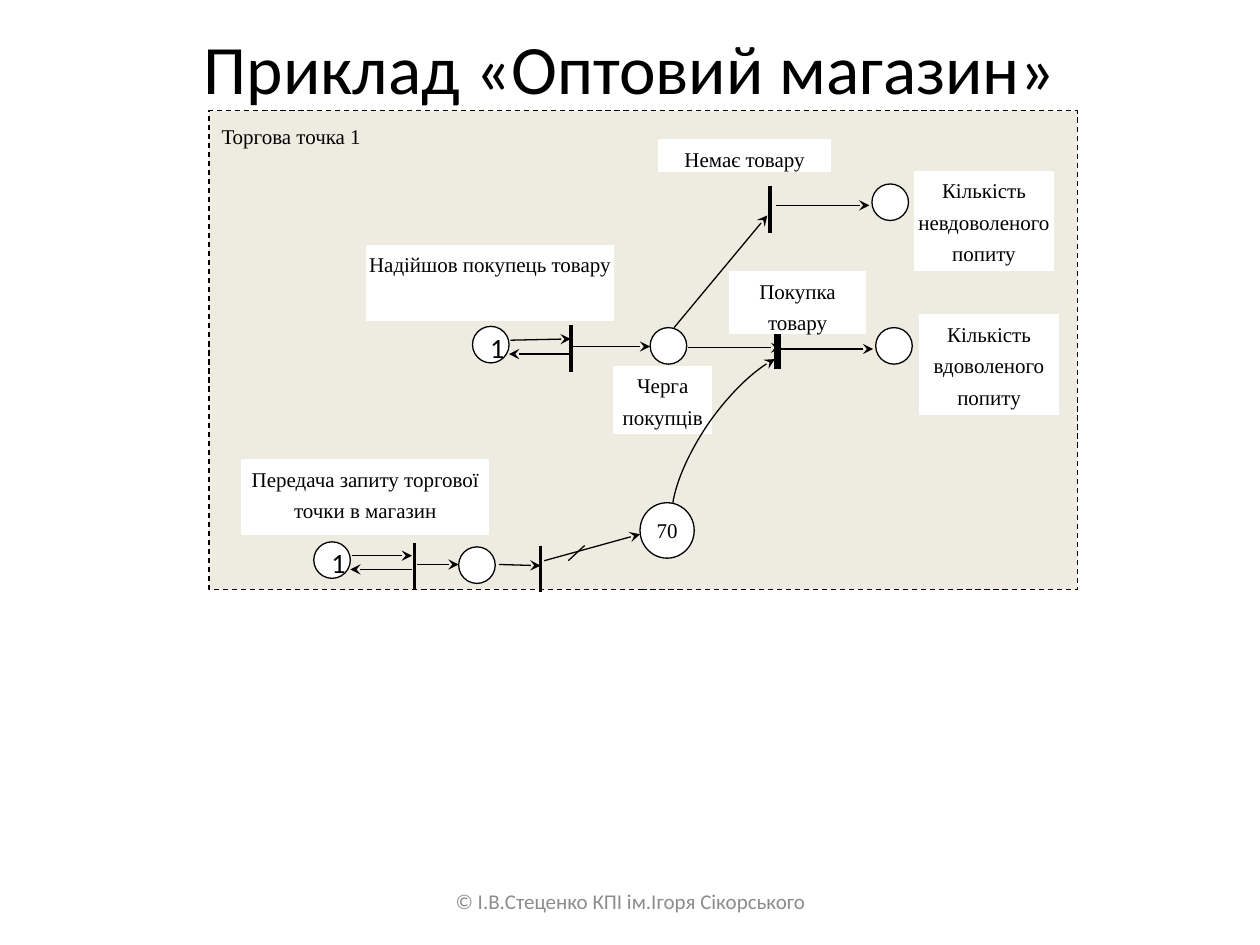
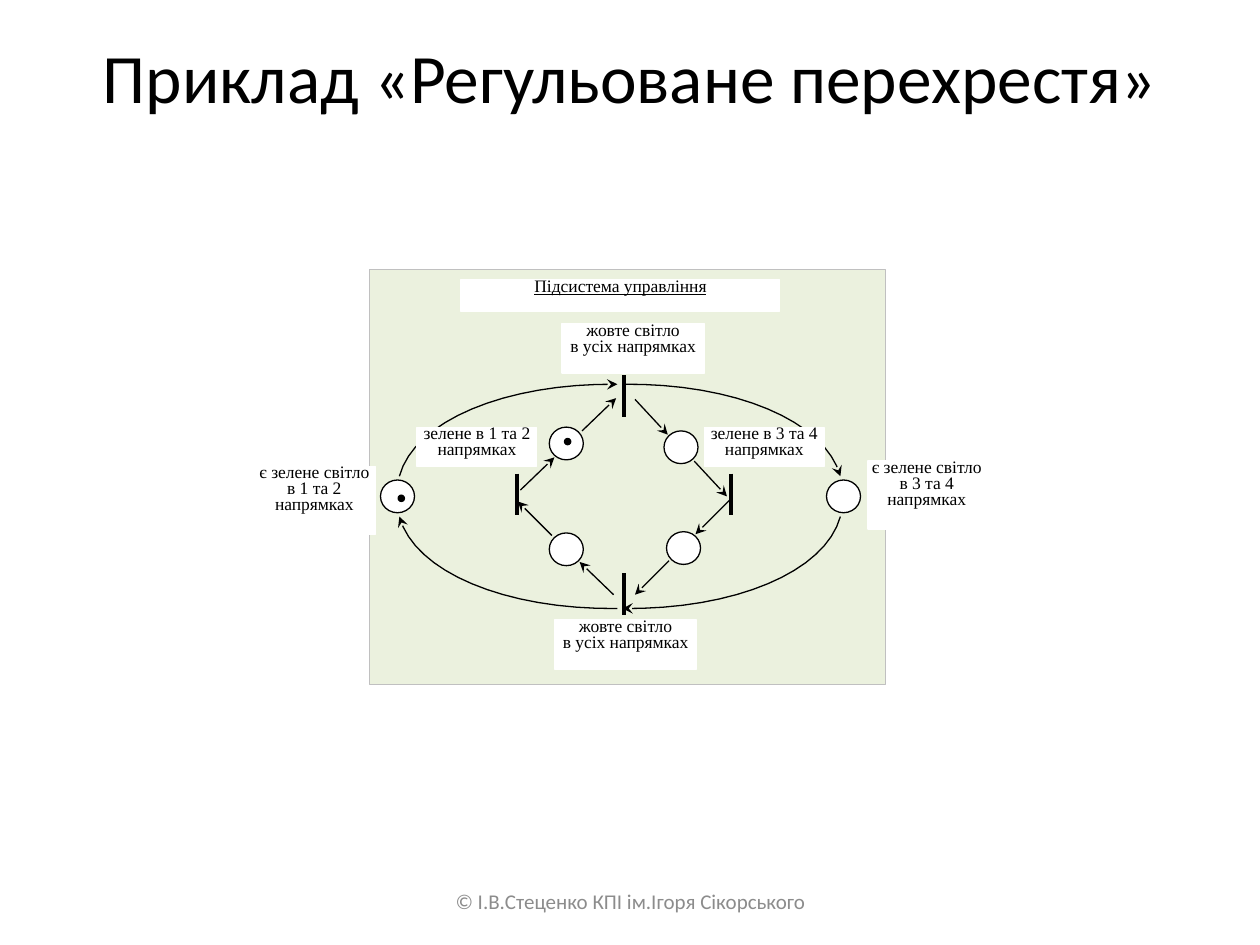
import dataclasses

import lxml.etree
import pptx
import pptx.dml.color
import pptx.enum.dml
import pptx.enum.shapes
import pptx.enum.text
import pptx.oxml.ns
import pptx.util

Inches = pptx.util.Inches
Pt = pptx.util.Pt
Shape = pptx.enum.shapes.MSO_SHAPE
Align = pptx.enum.text.PP_ALIGN
Anchor = pptx.enum.text.MSO_ANCHOR


@dataclasses.dataclass(frozen=True)
class Theme:
    ink: str = "000000"
    paper: str = "FFFFFF"
    footer: str = "8C8C8C"
    shop_panel: str = "EEECE1"
    control_panel: str = "EBF1DE"
    control_border: str = "C0C0C0"
    sans: str = "Calibri"
    serif: str = "Times New Roman"
    title_size: float = 39.6
    token_size: float = 16
    label_size: float = 12
    small_size: float = 10
    thin: float = 0.75
    bar: float = 2.25
    thick_bar: float = 4


THEME = Theme()
FOOTER = "© І.В.Стеценко КПІ ім.Ігоря Сікорського"
TIGHT = 0.75
LOOSE = Pt(18)


def rgb(value):
    return pptx.dml.color.RGBColor.from_string(value)


# Text
def write(shape, lines, size, font=THEME.serif, color=THEME.ink, align=Align.CENTER,
          anchor=Anchor.TOP, spacing=None, inset=None, underline=None):
    frame = shape.text_frame
    frame.word_wrap = True
    frame.vertical_anchor = anchor
    if inset is not None:
        frame.margin_left = frame.margin_right = Inches(inset)
        frame.margin_top = frame.margin_bottom = Inches(inset)
    frame.text = "\n".join(lines)
    for para in frame.paragraphs:
        para.alignment = align
        para.line_spacing = spacing
        para.font.name = font
        para.font.size = Pt(size)
        para.font.color.rgb = rgb(color)
        para.font.underline = underline


def add_text(page, area, text, size, color):
    box = page.shapes.add_textbox(*map(Inches, area))
    write(box, [text], size, THEME.sans, color, anchor=Anchor.MIDDLE)


# Shapes
def add_block(page, kind, area, fill=THEME.paper, line=THEME.ink, width=THEME.thin):
    shape = page.shapes.add_shape(kind, *map(Inches, area))
    shape.shadow.inherit = False
    shape.fill.solid()
    shape.fill.fore_color.rgb = rgb(fill)
    shape.line.color.rgb = rgb(line)
    shape.line.width = Pt(width)
    return shape


def add_label(page, area, *lines, size=THEME.label_size, spacing=LOOSE, underline=None):
    label = add_block(page, Shape.RECTANGLE, area, line=THEME.paper)
    write(label, lines, size, spacing=spacing, inset=0, underline=underline)


def add_small_label(page, area, *lines, underline=None):
    add_label(page, area, *lines, size=THEME.small_size, spacing=TIGHT, underline=underline)


def add_place(page, left, top, width=0.29, height=0.29, fill=THEME.paper):
    return add_block(page, Shape.OVAL, (left, top, width, height), fill)


def add_token_place(page, left, top):
    write(add_place(page, left, top), ["1"], THEME.token_size, THEME.sans, spacing=TIGHT)


# Lines
def ink_line(line, width, arrow):
    line.color.rgb = rgb(THEME.ink)
    line.width = Pt(width)
    if arrow:
        tail = lxml.etree.SubElement(line._get_or_add_ln(), pptx.oxml.ns.qn("a:tailEnd"))
        tail.set("type", "stealth")


def add_line(page, ends, width=THEME.thin, arrow=False):
    link = page.shapes.add_connector(
        pptx.enum.shapes.MSO_CONNECTOR.STRAIGHT, *map(Inches, ends))
    ink_line(link.line, width, arrow)
    lxml.etree.SubElement(link._element.spPr, pptx.oxml.ns.qn("a:effectLst"))


def add_arrows(page, arrows):
    for ends in arrows:
        add_line(page, ends, arrow=True)


def add_transition(page, x, top, height=0.37, width=THEME.bar):
    add_line(page, (x, top, x, top + height), width)


def bezier(points, steps=16):
    """Points along a cubic curve, first to last."""
    for step in range(steps + 1):
        t = step / steps
        weights = ((1 - t) ** 3, 3 * t * (1 - t) ** 2, 3 * t * t * (1 - t), t ** 3)
        yield tuple(sum(w * p[axis] for w, p in zip(weights, points)) for axis in (0, 1))


def add_curved_arrow(page, *curves):
    track = [(Inches(x), Inches(y)) for curve in curves for x, y in bezier(curve)]
    builder = page.shapes.build_freeform(*track[0])
    builder.add_line_segments(track[1:], close=False)
    curve = builder.convert_to_shape()
    curve.shadow.inherit = False
    curve.fill.background()
    ink_line(curve.line, THEME.thin, True)


# Pages
def add_page(deck, title, title_height):
    page = deck.slides.add_slide(deck.slide_layouts[6])
    add_text(page, (0.5, 0.3, 9, title_height), title, THEME.title_size, THEME.ink)
    add_text(page, (3.42, 6.95, 3.17, 0.4), FOOTER, THEME.label_size, THEME.footer)
    return page


def build_shop(deck):
    page = add_page(deck, "Приклад «Оптовий магазин»", 0.46)
    panel = add_block(page, Shape.RECTANGLE, (1.66, 0.88, 6.89, 3.8), THEME.shop_panel)
    panel.line.dash_style = pptx.enum.dml.MSO_LINE.DASH
    write(panel, ["Торгова точка 1"], THEME.label_size, align=Align.JUSTIFY, spacing=LOOSE)

    # Purchase transition lies under its label
    add_label(page, (4.87, 2.91, 0.78, 0.53), "Черга покупців")
    add_transition(page, 6.17, 2.56, width=THEME.thick_bar)
    add_arrows(page, [(5.46, 2.76, 6.2, 2.76)])
    for area, text in (
        ((5.79, 2.16, 1.08, 0.49), "Покупка товару"),
        ((7.26, 1.36, 1.1, 0.79), "Кількість невдоволеного попиту"),
        ((7.3, 2.5, 1.1, 0.79), "Кількість вдоволеного попиту"),
        ((5.23, 1.11, 1.36, 0.25), "Немає товару"),
        ((1.92, 3.65, 1.96, 0.59), "Передача запиту торгової точки в магазин"),
        ((2.91, 1.95, 1.96, 0.59), "Надійшов покупець товару"),
    ):
        add_label(page, area, text)

    # Places and transitions
    for corner in ((5.16, 2.6), (6.92, 1.46), (6.95, 2.6), (3.64, 4.34)):
        add_place(page, *corner)
    for corner in ((2.49, 4.3), (3.75, 2.59)):
        add_token_place(page, *corner)
    stock = add_place(page, 5.08, 3.99, 0.43, 0.44)
    write(stock, ["70"], THEME.label_size, spacing=LOOSE, inset=0)
    for x, top in ((4.53, 2.58), (6.11, 1.48), (4.29, 4.33), (3.29, 4.31)):
        add_transition(page, x, top)

    # Arcs
    add_arrows(page, (
        (4.05, 2.7, 4.53, 2.69), (4.53, 2.81, 4.04, 2.81), (4.53, 2.75, 5.16, 2.75),
        (5.35, 2.6, 6.09, 1.71), (6.16, 1.63, 6.9, 1.63), (6.19, 2.77, 6.93, 2.77),
        (2.79, 4.41, 3.27, 4.41), (3.27, 4.52, 2.78, 4.52), (3.31, 4.48, 3.64, 4.48),
        (3.96, 4.48, 4.29, 4.49), (4.32, 4.45, 5.08, 4.24),
    ))
    add_line(page, (4.64, 4.33, 4.51, 4.45))
    add_curved_arrow(
        page,
        ((5.34, 3.99), (5.37, 3.81), (5.47, 3.59), (5.61, 3.38)),
        ((5.61, 3.38), (5.78, 3.13), (5.99, 2.93), (6.15, 2.85)))


def build_crossroads(deck):
    page = add_page(deck, "Приклад «Регульоване перехрестя»", 0.61)
    add_block(page, Shape.RECTANGLE, (2.93, 2.14, 4.1, 3.29), THEME.control_panel,
              THEME.control_border, 0.25)
    add_small_label(page, (3.66, 2.22, 2.53, 0.25), "Підсистема управління", underline=True)
    add_small_label(page, (6.89, 3.66, 0.93, 0.54), "є зелене світло в 3 та 4 напрямках")
    add_small_label(page, (2.01, 3.7, 0.97, 0.54), "є зелене світло в 1 та 2 напрямках")
    for left, top in ((4.46, 2.57), (4.4, 4.92)):
        add_small_label(page, (left, top, 1.13, 0.39), "жовте світло", "в усіх напрямках")

    # Places and transitions
    for corner in ((3.02, 3.81), (6.56, 3.81), (5.27, 3.42), (5.29, 4.22),
                   (4.36, 4.23), (4.36, 3.39)):
        add_place(page, *corner, 0.27, 0.26)
    for x, top in ((4.95, 2.98), (5.8, 3.76), (4.95, 4.55), (4.1, 3.76)):
        add_transition(page, x, top, 0.33)

    # Inner ring, clockwise from the top
    add_arrows(page, (
        (5.04, 3.17, 5.3, 3.45), (5.51, 3.66, 5.77, 3.94), (5.79, 3.97, 5.52, 4.24),
        (5.31, 4.45, 5.04, 4.72), (4.87, 4.72, 4.6, 4.46), (4.38, 4.25, 4.11, 3.98),
        (4.13, 3.89, 4.4, 3.63), (4.62, 3.42, 4.89, 3.16),
    ))

    # Outer ring: one quarter mirrored about the centre, running clockwise
    center_x, center_y = 4.92, 3.94
    quarter = ((1.75, 0.16), (1.63, 0.6), (0.91, 0.9), (0.02, 0.89))
    for side_x in (-1, 1):
        for side_y in (-1, 1):
            arc = [(center_x + side_x * x, center_y + side_y * y) for x, y in quarter]
            add_curved_arrow(page, arc if side_x == side_y else arc[::-1])

    # Green phases and tokens
    for left, roads in ((5.59, "3 та 4"), (3.31, "1 та 2")):
        add_small_label(page, (left, 3.39, 0.95, 0.31), f"зелене в {roads}", "напрямках")
    for left, top in ((4.48, 3.48), (3.16, 3.93)):
        add_place(page, left, top, 0.05, 0.05, THEME.ink)


def main():
    deck = pptx.Presentation()
    deck.slide_width, deck.slide_height = Inches(10), Inches(7.5)
    build_shop(deck)
    build_crossroads(deck)
    deck.save("out.pptx")


if __name__ == "__main__":
    main()
